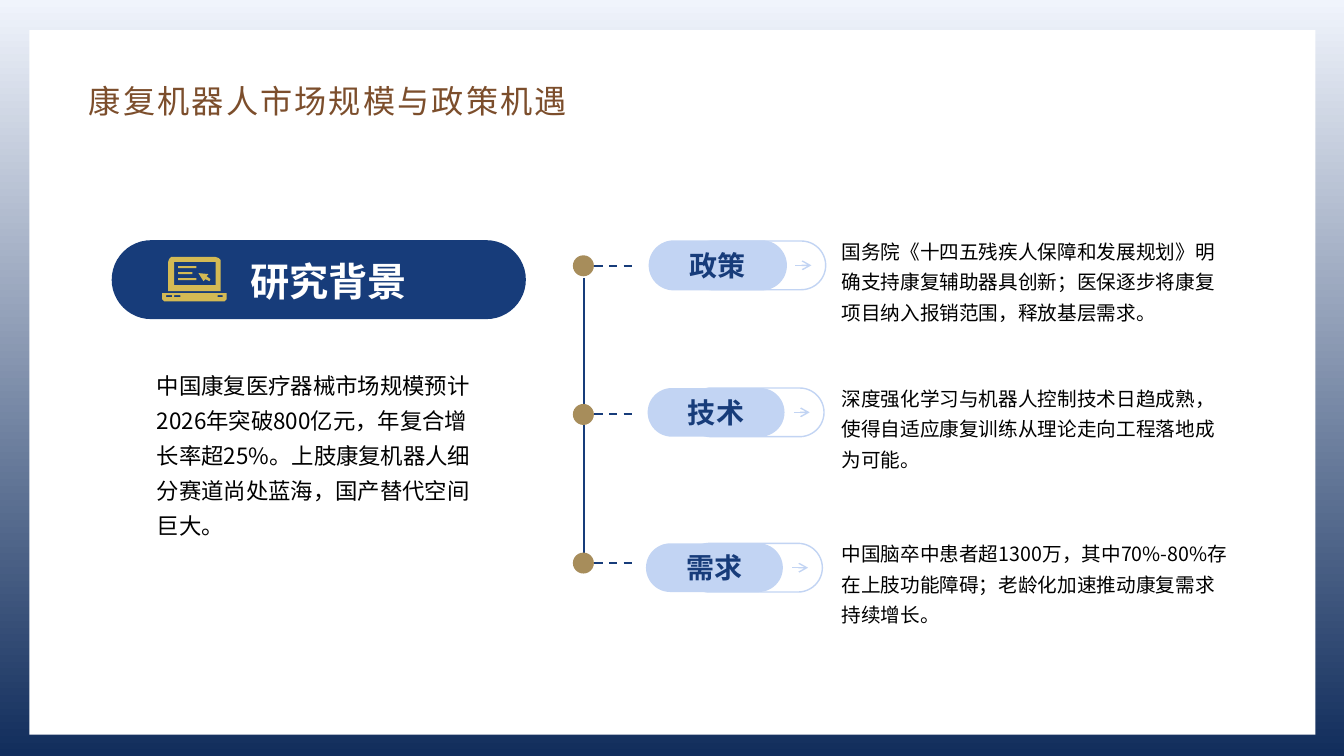
from pptx import Presentation
from pptx.dml.color import RGBColor
from pptx.enum.dml import MSO_LINE
from pptx.enum.shapes import MSO_CONNECTOR, MSO_SHAPE
from pptx.enum.text import MSO_ANCHOR, PP_ALIGN
from pptx.oxml.ns import qn
from pptx.util import Inches, Pt
from lxml.etree import SubElement

FONT = "Noto Sans CJK SC"
NAVY, PALE, GOLD, TAN, WHITE = "173C7A", "C2D4F3", "D4BA54", "A78D5B", "FFFFFF"
rgb = RGBColor.from_string

deck = Presentation()
deck.slide_width, deck.slide_height = Inches(13.33), Inches(7.5)
cell = deck.slide_width / 160
slide = deck.slides.add_slide(deck.slide_layouts[6])
shapes = slide.shapes

back = slide.background.fill
back.gradient()
back.gradient_angle = 270
for stop, tint in zip(back.gradient_stops, ("F0F4FC", "112D5C")):
    stop.color.rgb = rgb(tint)


def draw(kind, area, fill=None, edge=None):
    spot = [int(n * cell) for n in area]
    if kind == "text":
        box = shapes.add_textbox(*spot)
        box.text_frame.word_wrap = True
        return box
    if kind == "line":
        left, top, wide, high = spot
        line = shapes.add_connector(MSO_CONNECTOR.STRAIGHT, left, top, left + wide, top + high)
        line.line.color.rgb = rgb(edge)
        SubElement(line._element.spPr, qn("a:effectLst"))
        return line
    box = shapes.add_shape(kind, *spot)
    box.shadow.inherit = False
    if kind == MSO_SHAPE.ROUNDED_RECTANGLE:
        box.adjustments[0] = 0.5
    if fill:
        box.fill.solid()
        box.fill.fore_color.rgb = rgb(fill)
    else:
        box.fill.background()
    if edge:
        box.line.color.rgb = rgb(edge)
        box.line.width = Pt(1)
    else:
        box.line.fill.background()
    return box


def write(box, words, size, tint="000000", bold=False, lead=1.3):
    box.text_frame.text = words
    para = box.text_frame.paragraphs[0]
    para.line_spacing = lead
    run = para.runs[0]
    run.font.size, run.font.bold, run.font.name = Pt(size), bold, FONT
    run.font.color.rgb = rgb(tint)
    SubElement(run._r.get_or_add_rPr(), qn("a:ea")).set("typeface", FONT)
    return para


draw(MSO_SHAPE.RECTANGLE, (3.5, 3.6, 153.1, 83.9), WHITE)
title = write(draw("text", (9.4, 7.7, 97.3, 7.2)), "康复机器人市场规模与政策机遇", 23, "7C4E2C")
title.runs[0]._r.get_or_add_rPr().set("spc", "150")

draw(MSO_SHAPE.ROUNDED_RECTANGLE, (13.3, 28.6, 49.3, 9.4), NAVY)
lid = [(12, 0), (53, 0), (56, 1), (58, 3), (58, 34), (6, 34), (6, 5), (7, 2), (9, 0.5)]
base = [(0, 36), (64, 36), (64, 42), (62, 44), (2, 44), (0, 42)]
mouse = [(36, 16), (41, 24), (43, 22), (47, 24), (48, 22), (44, 19), (46, 17)]
slots = [(12, 5, 41, 23), (16, 9, 18, 2), (16, 15, 14, 2), (16, 21, 18, 2),
         (4, 38, 6, 2), (12, 38, 6, 2), (55, 38, 5, 2)]
rings = [[(x, y), (x, y + h), (x + w, y + h), (x + w, y)] for x, y, w, h in slots]
pen = shapes.build_freeform(*lid[0], scale=cell * 0.12)
pen.add_line_segments(lid[1:], close=True)
for ring in [base, mouse] + rings:
    pen.move_to(*ring[0])
    pen.add_line_segments(ring[1:], close=True)
icon = pen.convert_to_shape(int(19.3 * cell), int(30.6 * cell))
icon.shadow.inherit = False
icon.fill.solid()
icon.fill.fore_color.rgb = rgb(GOLD)
icon.line.fill.background()

write(draw("text", (28.6, 29.5, 33.1, 7.4)), "研究背景", 28, WHITE, True, 1.1)
write(draw("text", (17.5, 42.8, 41.9, 22.2)),
      "中国康复医疗器械市场规模预计2026年突破800亿元，年复合增长率超25%。"
      "上肢康复机器人细分赛道尚处蓝海，国产替代空间巨大。", 16)

draw("line", (69.5, 33.1, 0, 33.1), edge=NAVY).line.width = Pt(1.5)
rows = [
    ("政策", 28.7, "国务院《十四五残疾人保障和发展规划》明确支持康复辅助器具创新；医保逐步将康复项目纳入报销范围，释放基层需求。"),
    ("技术", 46.2, "深度强化学习与机器人控制技术日趋成熟，使得自适应康复训练从理论走向工程落地成为可能。"),
    ("需求", 64.7, "中国脑卒中患者超1300万，其中70%-80%存在上肢功能障碍；老龄化加速推动康复需求持续增长。"),
]
for i, (name, top, note) in enumerate(rows):
    mid = 31.65 + 17.7 * i
    draw(MSO_SHAPE.OVAL, (68.2, mid - 1.25, 2.5, 2.5), TAN)
    dash = draw("line", (70.75, mid, 5.2, 0), edge=NAVY).line
    dash.width, dash.dash_style = Pt(1.5), MSO_LINE.DASH

    left = 77.3 - 0.2 * i
    draw(MSO_SHAPE.ROUNDED_RECTANGLE, (left + 4.7, top, 16.3, 5.8), edge=PALE)
    pill = draw(MSO_SHAPE.ROUNDED_RECTANGLE, (left, top, 16.3, 5.8), PALE, None if i else PALE)
    pill.text_frame.vertical_anchor = MSO_ANCHOR.MIDDLE
    write(pill, name, 20, NAVY, True, 1).alignment = PP_ALIGN.CENTER
    arrow = draw("line", (left + 17.4, top + 2.9, 1.9, 0), edge=PALE).line
    arrow.width = Pt(1)
    SubElement(arrow._get_or_add_ln(), qn("a:tailEnd")).set("type", "arrow")
    write(draw("text", (99, top - 1.6, 48.7, 15.8)), note, 14)

deck.save("out.pptx")
